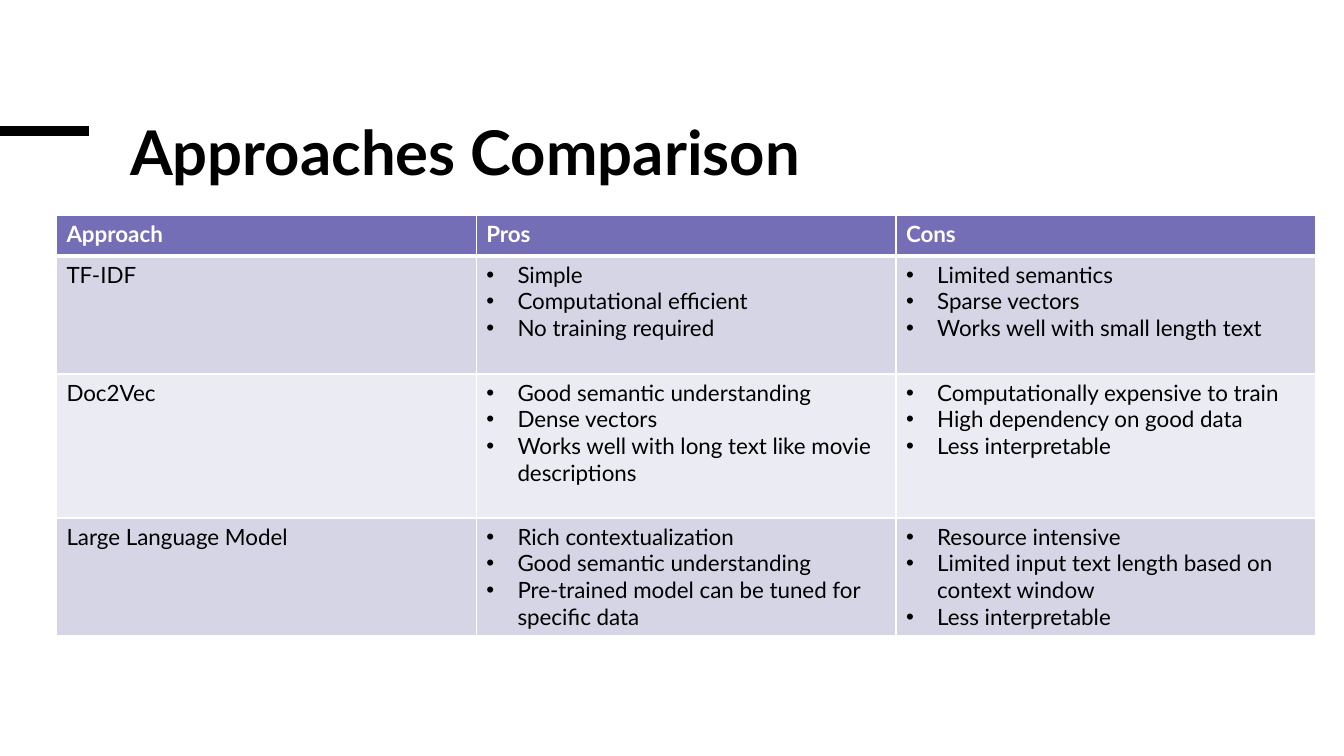
import pptx
import pptx.dml.color
import pptx.enum.shapes
import pptx.enum.text
import pptx.oxml
import pptx.oxml.ns
import pptx.util
from pptx.util import Inches

HEADINGS = ["Approach", "Pros", "Cons"]
APPROACHES = [
    (
        "TF-IDF",
        ["Simple", "Computational efficient", "No training required"],
        ["Limited semantics", "Sparse vectors", "Works well with small length text"],
    ),
    (
        "Doc2Vec",
        ["Good semantic understanding", "Dense vectors",
         "Works well with long text like movie descriptions"],
        ["Computationally expensive to train", "High dependency on good data",
         "Less interpretable"],
    ),
    (
        "Large Language Model",
        ["Rich contextualization", "Good semantic understanding",
         "Pre-trained model can be tuned for specific data"],
        ["Resource intensive", "Limited input text length based on context window",
         "Less interpretable"],
    ),
]
ROW_HEIGHTS = [0.4, 1.17, 1.43, 1.17]


def color(value):
    return pptx.dml.color.RGBColor.from_string(value)


def element(markup):
    namespace = pptx.oxml.ns.nsdecls("a")
    return pptx.oxml.parse_xml(markup.replace(" ", f" {namespace} ", 1))


class ComparisonPage:
    """Holds the style and the current slide, and draws its elements."""

    font = "Lato"
    ink = "000000"
    paper = "FFFFFF"
    header_fill = "736EB6"
    band_fills = ["D5D5E5", "EBEBF3"]

    def __init__(self, deck):
        self.page = deck.slides.add_slide(deck.slide_layouts[5])

    def add_span(self, para, text, size, ink, bold=False):
        span = para.add_run()
        span.text = text
        span.font.name = self.font
        span.font.size = pptx.util.Pt(size)
        span.font.bold = bold
        span.font.color.rgb = color(ink)

    def title(self, text, left, top, width, height):
        box = self.page.shapes.title
        box.left, box.top = Inches(left), Inches(top)
        box.width, box.height = Inches(width), Inches(height)
        frame = box.text_frame
        frame.word_wrap = True
        frame.auto_size = pptx.enum.text.MSO_AUTO_SIZE.NONE
        frame.vertical_anchor = pptx.enum.text.MSO_ANCHOR.TOP
        para = frame.paragraphs[0]
        para.alignment = pptx.enum.text.PP_ALIGN.LEFT
        para.line_spacing = 0.85
        self.add_span(para, text, 44, self.ink, bold=True)

    def accent_line(self, left, right, top, weight):
        line = self.page.shapes.add_connector(
            pptx.enum.shapes.MSO_CONNECTOR.STRAIGHT,
            Inches(left), Inches(top), Inches(right), Inches(top))
        line.line.color.rgb = color(self.ink)
        line.line.width = pptx.util.Pt(weight)
        line._element.spPr.append(element("<a:effectLst />"))

    def bullet(self, para):
        properties = para._p.get_or_add_pPr()
        properties.set("marL", str(Inches(0.31)))
        properties.set("indent", str(-Inches(0.31)))
        properties.append(element('<a:buFont typeface="Arial"/>'))
        properties.append(element('<a:buChar char="•"/>'))

    def borders(self, cell, top=1, bottom=1):
        properties = cell._tc.get_or_add_tcPr()
        for side, weight in (("L", 1), ("R", 1), ("T", top), ("B", bottom)):
            properties.append(element(
                f'<a:ln{side} w="{pptx.util.Pt(weight)}"><a:solidFill>'
                f'<a:srgbClr val="{self.paper}"/></a:solidFill></a:ln{side}>'))

    def fill_cell(self, cell, content, row):
        header = row == 0
        self.borders(cell, top=3 if row == 1 else 1, bottom=3 if header else 1)
        cell.fill.solid()
        cell.fill.fore_color.rgb = color(
            self.header_fill if header else self.band_fills[(row - 1) % 2])
        bulleted = isinstance(content, list)
        frame = cell.text_frame
        for index, text in enumerate(content if bulleted else [content]):
            para = frame.add_paragraph() if index else frame.paragraphs[0]
            if bulleted:
                self.bullet(para)
            self.add_span(para, text, 16, self.paper if header else self.ink, header)

    def table(self, rows, heights, left, top, width):
        table = self.page.shapes.add_table(
            len(rows), len(rows[0]), Inches(left), Inches(top),
            Inches(width), Inches(sum(heights))).table
        for row, (contents, height) in enumerate(zip(rows, heights)):
            table.rows[row].height = Inches(height)
            for column, content in enumerate(contents):
                self.fill_cell(table.cell(row, column), content, row)


def main():
    deck = pptx.Presentation()
    deck.slide_width, deck.slide_height = Inches(13.33), Inches(7.5)
    page = ComparisonPage(deck)
    page.accent_line(0, 0.88, 1.3, 6.75)
    page.title("Approaches Comparison", 1.19, 1.19, 10.85, 1.42)
    page.table([HEADINGS, *APPROACHES], ROW_HEIGHTS, 0.56, 2.14, 12.49)
    deck.save("out.pptx")


if __name__ == "__main__":
    main()
